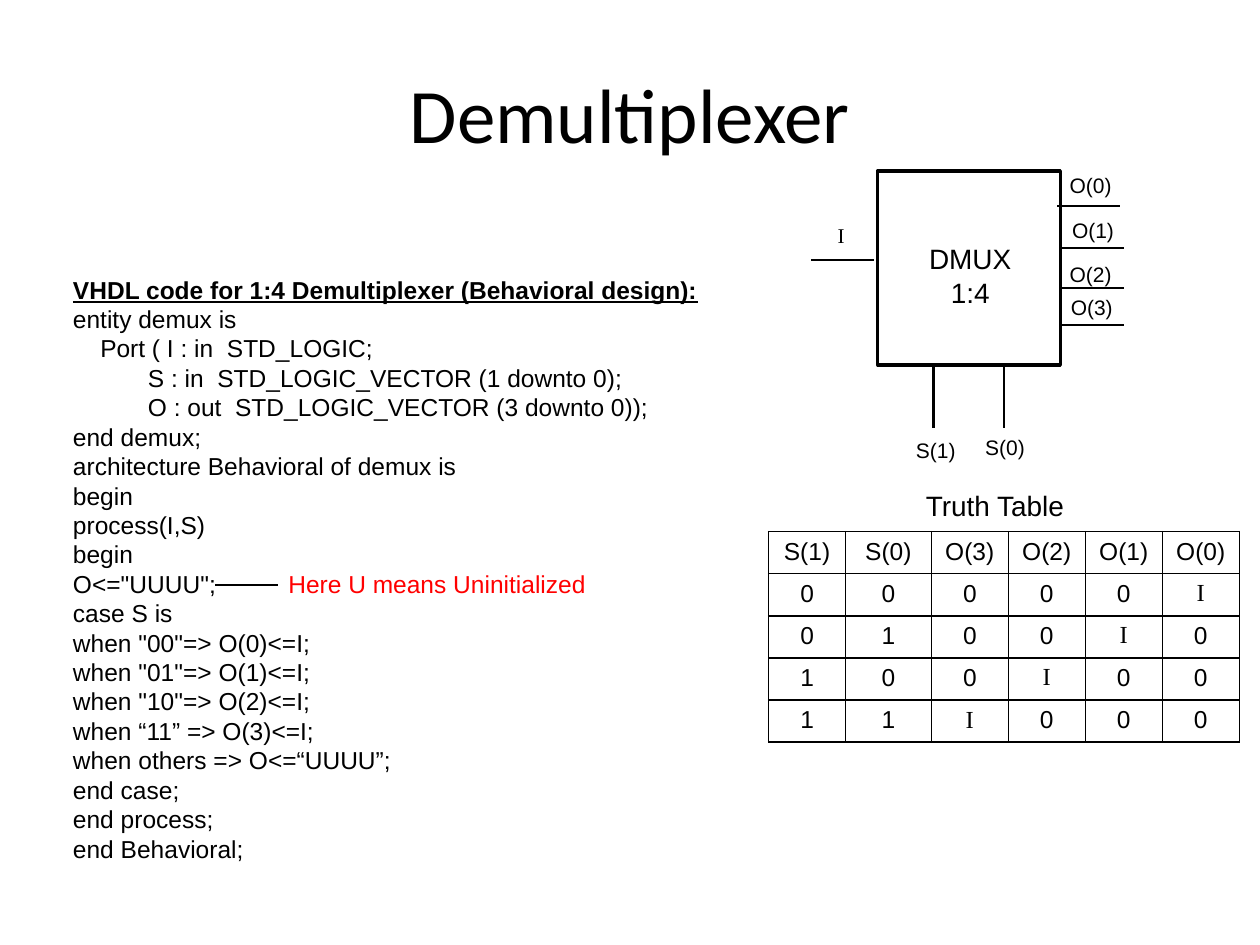
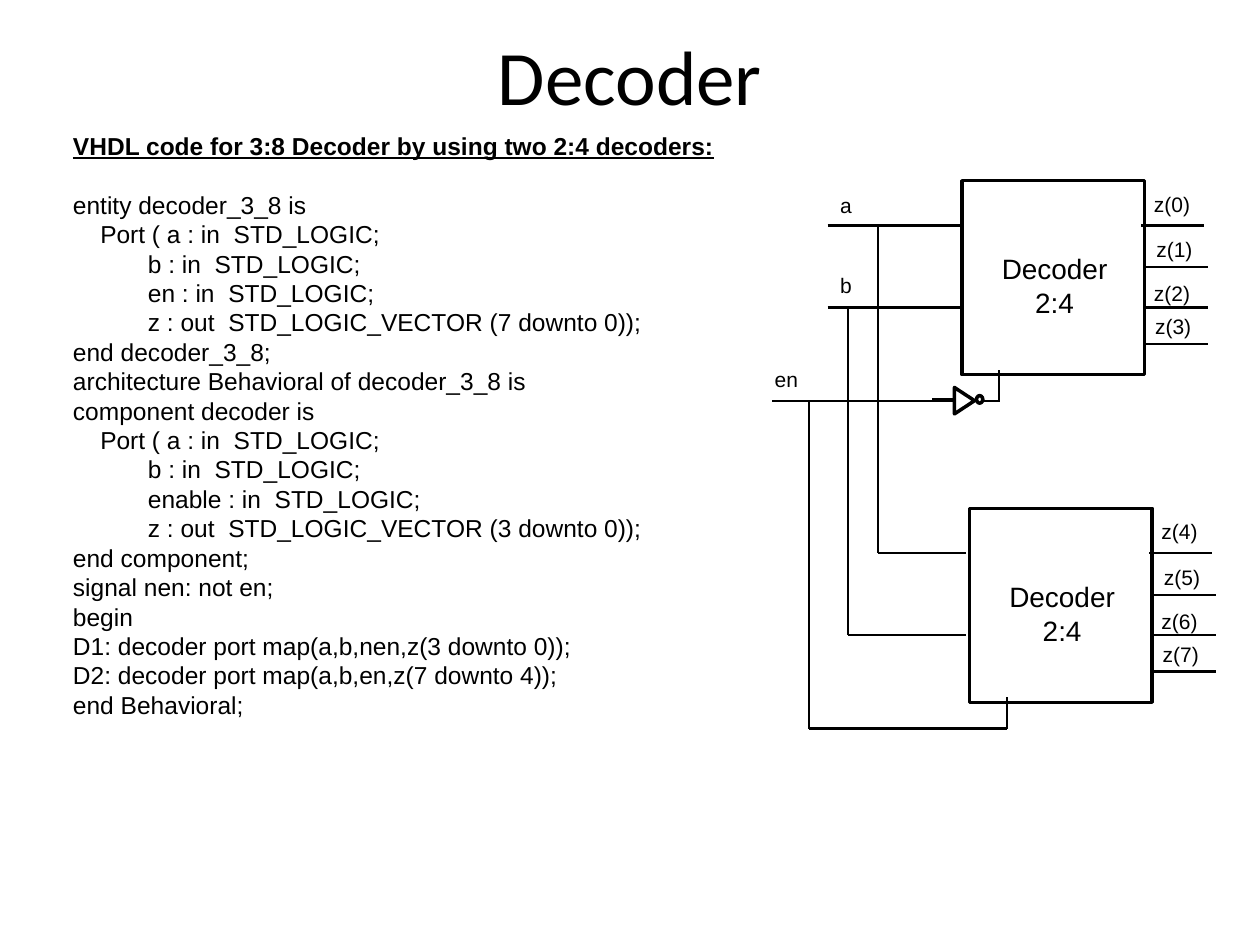
from dataclasses import dataclass

from pptx import Presentation
from pptx.dml.color import RGBColor
from pptx.enum.shapes import MSO_CONNECTOR as Connector, MSO_SHAPE as Shape
from pptx.enum.text import MSO_ANCHOR as Anchor, PP_ALIGN as Align
from pptx.oxml.ns import qn
from pptx.util import Pt
from lxml.etree import SubElement

COLORS = {"ink": "000000", "note": "FF0000"}
TITLE = {"name": "Calibri", "size": Pt(44)}
CHIP_NAME = {"name": "Arial", "size": Pt(16)}
CODE = {"name": "Arial", "size": Pt(14)}
CODE_HEADING = {**CODE, "bold": True, "underline": True}
PORT = {"name": "Arial", "size": Pt(12)}
SERIF_PORT = {**PORT, "name": "Times New Roman"}
SERIF_CELL = {**CODE, "name": "Times New Roman"}

CODE_PITCH = 16.8
CHIP_SIZE = (104.4, 110.9)
# Per output: wire x, wire y, label x, label y, from the chip's corner
OUTPUTS = [(102.6, 25.6, 102.6, 2.5), (104.8, 49.3, 104, 28.4),
           (104.8, 72.4, 102.6, 53.6), (104.8, 93.2, 103.3, 72.4)]

# Each code line is (indent in points, text)
DEMUX_CODE = [
    (0, "entity demux is"),
    (15.6, "Port ( I : in  STD_LOGIC;"),
    (42.8, "S : in  STD_LOGIC_VECTOR (1 downto 0);"),
    (42.8, "O : out  STD_LOGIC_VECTOR (3 downto 0));"),
    (0, "end demux;"),
    (0, "architecture Behavioral of demux is"),
    (0, "begin"),
    (0, "process(I,S)"),
    (0, "begin"),
    (0, 'O<="UUUU";'),
    (0, "case S is"),
    (0, 'when "00"=> O(0)<=I;'),
    (0, 'when "01"=> O(1)<=I;'),
    (0, 'when "10"=> O(2)<=I;'),
    (0, "when “11” => O(3)<=I;"),
    (0, "when others => O<=“UUUU”;"),
    (0, "end case;"),
    (0, "end process;"),
    (0, "end Behavioral;"),
]
DECODER_CODE = [
    (0, "entity decoder_3_8 is"),
    (15.6, "Port ( a : in  STD_LOGIC;"),
    (42.8, "b : in  STD_LOGIC;"),
    (42.8, "en : in  STD_LOGIC;"),
    (42.8, "z : out  STD_LOGIC_VECTOR (7 downto 0));"),
    (0, "end decoder_3_8;"),
    (0, "architecture Behavioral of decoder_3_8 is"),
    (0, "component decoder is"),
    (15.6, "Port ( a : in  STD_LOGIC;"),
    (42.8, "b : in  STD_LOGIC;"),
    (42.8, "enable : in  STD_LOGIC;"),
    (42.8, "z : out  STD_LOGIC_VECTOR (3 downto 0));"),
    (0, "end component;"),
    (0, "signal nen: not en;"),
    (0, "begin"),
    (0, "D1: decoder port map(a,b,nen,z(3 downto 0));"),
    (0, "D2: decoder port map(a,b,en,z(7 downto 4));"),
    (0, "end Behavioral;"),
]
TRUTH_ROWS = [
    ["S(1)", "S(0)", "O(3)", "O(2)", "O(1)", "O(0)"],
    ["0", "0", "0", "0", "0", "I"],
    ["0", "1", "0", "0", "I", "0"],
    ["1", "0", "0", "I", "0", "0"],
    ["1", "1", "I", "0", "0", "0"],
]


@dataclass
class Box:
    x: float
    y: float
    w: float = 0
    h: float = 0

    def inner(self, dx, dy, w=0, h=0):
        return Box(self.x + dx, self.y + dy, w, h)

    def frame(self):
        return Pt(self.x), Pt(self.y), Pt(self.w), Pt(self.h)


def color(key):
    return RGBColor.from_string(COLORS[key])


def write(paragraph, text, style, align=Align.LEFT, ink="ink"):
    paragraph.alignment = align
    run = paragraph.add_run()
    run.text = text
    for attribute, value in style.items():
        setattr(run.font, attribute, value)
    run.font.color.rgb = color(ink)


def add_text(slide, box, lines, style, align=Align.LEFT, ink="ink", anchor=Anchor.TOP):
    frame = slide.shapes.add_textbox(*box.frame()).text_frame
    frame.word_wrap = True
    frame.vertical_anchor = anchor
    for index, line in enumerate(lines):
        paragraph = frame.add_paragraph() if index else frame.paragraphs[0]
        write(paragraph, line, style, align, ink)
    return frame


def add_outline(slide, kind, box, rotation=0):
    outline = slide.shapes.add_shape(kind, *box.frame())
    outline.shadow.inherit = False
    outline.fill.background()
    outline.line.color.rgb = color("ink")
    outline.line.width = Pt(2)
    outline.rotation = rotation


def add_wire(slide, box, x1, y1, x2, y2):
    start, end = box.inner(x1, y1), box.inner(x2, y2)
    wire = slide.shapes.add_connector(
        Connector.STRAIGHT, Pt(start.x), Pt(start.y), Pt(end.x), Pt(end.y))
    wire.line.color.rgb = color("ink")
    wire.line.width = Pt(1.25)
    SubElement(wire._element.spPr, qn("a:effectLst"))


def add_port(slide, box, dx, dy, name, style=PORT):
    add_text(slide, box.inner(dx, dy, 49, 21.8), [name], style)


def title(slide, box, text):
    add_text(slide, box, [text], TITLE, Align.CENTER, anchor=Anchor.MIDDLE)


def code_listing(slide, box, heading, lines, heading_gap=0):
    frame = add_text(slide, box, [heading], CODE_HEADING)
    frame.paragraphs[0].space_after = Pt(heading_gap)
    for indent, line in lines:
        paragraph = frame.add_paragraph()
        write(paragraph, line, CODE)
        paragraph._p.get_or_add_pPr().set("marL", str(Pt(indent)))


def chip(slide, box, name_lines, output_names, port_shift=0):
    add_outline(slide, Shape.RECTANGLE, box)
    add_text(slide, box.inner(4, 37.1, 97.9, 46), name_lines, CHIP_NAME, Align.CENTER)
    for name, (wire_x, wire_y, label_x, label_y) in zip(output_names, OUTPUTS):
        y = wire_y + port_shift
        add_wire(slide, box, wire_x, y, wire_x + 36, y)
        add_port(slide, box, label_x, label_y + port_shift, name)


def demux_diagram(slide, box):
    chip(slide, box.inner(37.8, 0, *CHIP_SIZE), ["DMUX", "1:4"],
         [f"O({n})" for n in range(4)], port_shift=-5.3)
    # Data input
    add_wire(slide, box, 0, 50.8, 36, 50.8)
    add_port(slide, box, 7.9, 26.2, "I", SERIF_PORT)
    # Select inputs
    for name, wire_x, label_x, label_y in [("S(1)", 69.8, 52.6, 148.6),
                                           ("S(0)", 110.2, 92.2, 147.2)]:
        add_wire(slide, box, wire_x, 111.2, wire_x, 147.2)
        add_port(slide, box, label_x, label_y, name)


def truth_table(slide, box):
    add_text(slide, box.inner(82.8, -28, 97.2, 26.6), ["Truth Table"], CHIP_NAME)
    table = slide.shapes.add_table(len(TRUTH_ROWS), len(TRUTH_ROWS[0]), *box.frame()).table
    table.first_row = table.horz_banding = False
    for index, column in enumerate(table.columns):
        column.width = Pt(49 if index == 1 else 44)
    for row, values in zip(table.rows, TRUTH_ROWS):
        row.height = Pt(box.h / len(TRUTH_ROWS))
        for cell, value in zip(row.cells, values):
            style = SERIF_CELL if value == "I" else CODE
            write(cell.text_frame.paragraphs[0], value, style, Align.CENTER)
            add_borders(cell)
            cell.fill.background()


def add_borders(cell):
    properties = cell._tc.get_or_add_tcPr()
    for side in ("a:lnL", "a:lnR", "a:lnT", "a:lnB"):
        border = SubElement(properties, qn(side), w=str(Pt(1)))
        fill = SubElement(border, qn("a:solidFill"))
        SubElement(fill, qn("a:srgbClr"), val=COLORS["ink"])


def decoder_diagram(slide, box):
    # Two 2:4 decoders
    for dx, dy, first in [(114.1, 0, 0), (118.4, 187.2, 4)]:
        chip(slide, box.inner(dx, dy, *CHIP_SIZE), ["Decoder", "2:4"],
             [f"z({n})" for n in range(first, first + 4)])
    # Inputs a and b, each branching down to the lower decoder
    for name, label_y, y, branch_x in [("a", 3.3, 25.6, 66.2), ("b", 48.6, 72.4, 49)]:
        lower_y = y + 187.2
        add_port(slide, box, 37.4, label_y, name)
        add_wire(slide, box, 37.4, y, 113, y)
        add_wire(slide, box, branch_x, y, branch_x, lower_y)
        add_wire(slide, box, branch_x, lower_y, 116.6, lower_y)
    # Enable, straight to the lower decoder and inverted to the upper one
    add_port(slide, box, 0, 99.9 + 2.7, "en")
    for ends in [(5.8, 125.7, 109.4, 125.7), (26.6, 126.4, 26.6, 313),
                 (26.6, 313, 139.7, 313), (139.7, 295, 139.7, 313),
                 (97.2, 125, 110.2, 125), (126.7, 125.7, 134.6, 125.7),
                 (135.4, 108.4, 135.4, 126.4)]:
        add_wire(slide, box, *ends)
    add_outline(slide, Shape.ISOSCELES_TRIANGLE, box.inner(108, 119.9, 15.1, 11.5), 90)
    add_outline(slide, Shape.OVAL, box.inner(122.4, 122.8, 3.6, 4.3))


def uninitialized_note(slide, box):
    add_wire(slide, box, 0, 0, 36, 0)
    add_text(slide, box.inner(34.6, -12.3, 210, 24.5),
             ["Here U means Uninitialized"], CODE, ink="note")


def demux_slide(slide):
    title(slide, Box(36, 19.4, 648, 90), "Demultiplexer")
    demux_diagram(slide, Box(463.7, 97.6))
    code_listing(slide, Box(34.6, 153.4, 395, 346),
                 "VHDL code for 1:4 Demultiplexer (Behavioral design):", DEMUX_CODE)
    truth_table(slide, Box(439.2, 303.8, 269, 120))
    uninitialized_note(slide, Box(123.1, 334.1))


def decoder_slide(slide):
    title(slide, Box(36, -2.2, 648, 90), "Decoder")
    code_listing(slide, Box(34.6, 71.3, 395, 346),
                 "VHDL code for 3:8 Decoder by using two 2:4 decoders:",
                 DECODER_CODE, heading_gap=CODE_PITCH)
    decoder_diagram(slide, Box(435.6, 103.3))


def main():
    deck = Presentation()
    deck.slide_width, deck.slide_height = Pt(720), Pt(540)
    for build in (demux_slide, decoder_slide):
        build(deck.slides.add_slide(deck.slide_layouts[6]))
    deck.save("out.pptx")


if __name__ == "__main__":
    main()
